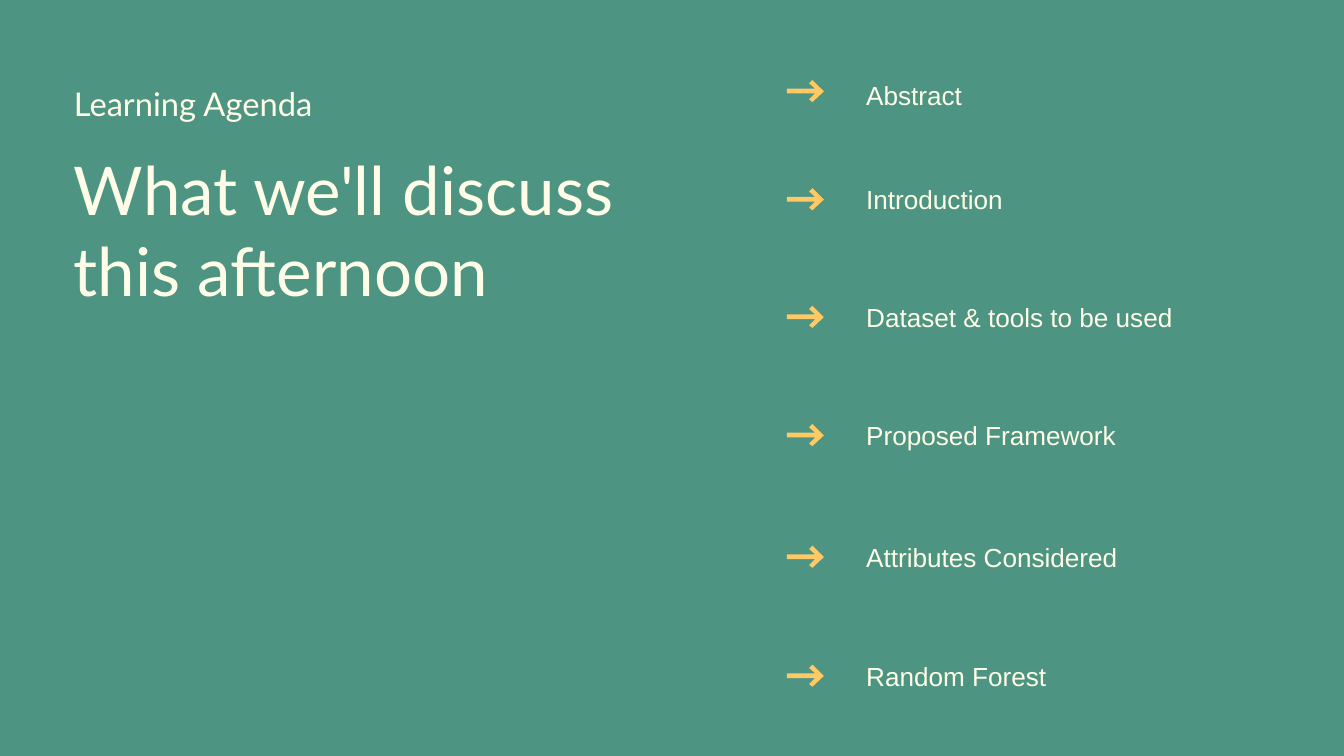
from pptx import Presentation
from pptx.dml.color import RGBColor
from pptx.enum.text import MSO_ANCHOR as Anchor, MSO_AUTO_SIZE as AutoSize, PP_ALIGN as Align
from pptx.util import Inches, Pt

GREEN, CREAM, AMBER = "4D9483", "FFFDE7", "FFC966"

FRAME = dict(margin_left=0, margin_top=0, margin_right=0, margin_bottom=0,
             word_wrap=True, auto_size=AutoSize.NONE, vertical_anchor=Anchor.TOP)
TITLE = dict(name="Lato", size=72, leading=86.4)
KICKER = dict(name="Lato", size=35, leading=45.5)
ITEM = dict(name="Arial", size=28, leading=36.4)

AGENDA = [
    ("Abstract", 1.14, 1.19),
    ("Introduction", 2.69, 2.8),
    ("Dataset & tools to be used", 4.45, 4.55),
    ("Proposed Framework", 6.2, 6.31),
    ("Attributes Considered", 8.02, 8.12),
    ("Random Forest", 9.79, 9.89),
]
ARROW = [(0.38, 0.33), (0.33, 0.29), (0.42, 0.2), (0, 0.2), (0, 0.13),
         (0.42, 0.13), (0.33, 0.05), (0.38, 0), (0.55, 0.17)]


def paint(fill, color):
    fill.solid()
    fill.fore_color.rgb = RGBColor.from_string(color)


def set_attrs(obj, values):
    for key, value in values.items():
        setattr(obj, key, value)


def place(sp, x, y, w, h):
    set_attrs(sp, dict(left=Inches(x), top=Inches(y), width=Inches(w), height=Inches(h)))


def write(sp, text, style):
    tf = sp.text_frame
    set_attrs(tf, FRAME)
    p = tf.paragraphs[0]
    set_attrs(p, dict(alignment=Align.LEFT, line_spacing=Pt(style["leading"]),
                      space_before=Pt(0), space_after=Pt(0)))
    r = p.add_run()
    r.text = text
    set_attrs(r.font, dict(name=style["name"], size=Pt(style["size"]), bold=False))
    paint(r.font.fill, CREAM)


def add_heading(s, x, y, w):
    title, kicker = s.placeholders
    place(title, x, y + 1.01, w, 3.59)
    write(title, "What we'll discuss this afternoon", TITLE)
    place(kicker, x, y, w - 1.07, 0.6)
    write(kicker, "Learning Agenda", KICKER)


def add_arrow(s, x, y):
    points = [(Inches(x + dx), Inches(y + dy)) for dx, dy in ARROW]
    builder = s.shapes.build_freeform(*points[0])
    builder.add_line_segments(points[1:], close=True)
    sp = builder.convert_to_shape()
    sp.shadow.inherit = False
    paint(sp.fill, AMBER)
    sp.line.fill.background()


def add_agenda(s, x, w):
    for text, text_top, arrow_top in AGENDA:
        add_arrow(s, x, arrow_top)
        box = s.shapes.add_textbox(Inches(x + 1.18), Inches(text_top),
                                   Inches(w - 1.18), Inches(0.5))
        write(box, text, ITEM)


def main():
    prs = Presentation()
    prs.slide_width, prs.slide_height = Inches(20), Inches(11.25)
    s = prs.slides.add_slide(prs.slide_layouts[0])
    paint(s.background.fill, GREEN)
    add_heading(s, 1.1, 1.2, 8.25)
    add_agenda(s, 11.71, 6.23)
    prs.save("out.pptx")


if __name__ == "__main__":
    main()
